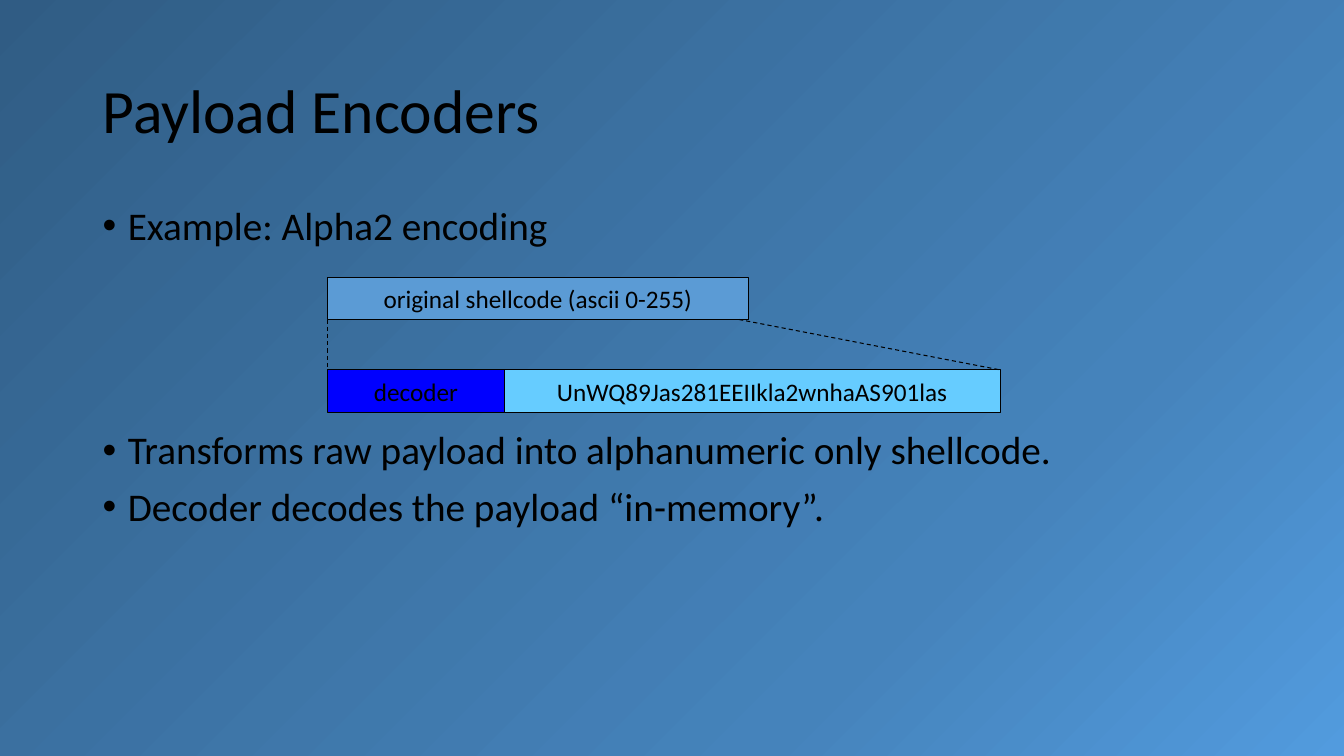
import pptx
import pptx.util
import pptx.oxml
import pptx.oxml.ns
import pptx.dml.color
import pptx.enum.dml
import pptx.enum.shapes
import pptx.enum.text
from lxml import etree

Inches = pptx.util.Inches
Pt = pptx.util.Pt
RGBColor = pptx.dml.color.RGBColor
qn = pptx.oxml.ns.qn
ANCHOR = pptx.enum.text.MSO_ANCHOR

FONT = "Calibri"
BLACK = RGBColor(0, 0, 0)
DECODER_BLUE = RGBColor(0x00, 0x00, 0xFF)
ENCODED_BLUE = RGBColor(0x66, 0xCC, 0xFF)
ORIGINAL_BLUE = RGBColor(0x5B, 0x9B, 0xD5)
STOPS = [
    (0, RGBColor(0x30, 0x5C, 0x84), 100),
    (72, RGBColor(0x45, 0x83, 0xBB), 58),
    (100, RGBColor(0x52, 0x9B, 0xDE), 100),
]

LEFT, SPLIT, RIGHT = 3.25, 5, 9.92
ORIGINAL_TOP, ENCODED_TOP, BAR_HEIGHT = 2.75, 3.67, 0.42
ORIGINAL_WIDTH = 4.17
DIAGRAM_GAP = 130


def set_background(slide):
    fill = slide.background.fill
    fill.solid()
    solid = slide._element.find(".//" + qn("a:solidFill"))
    grad = etree.Element(qn("a:gradFill"), rotWithShape="1")
    stops = etree.SubElement(grad, qn("a:gsLst"))
    for pos, color, alpha in STOPS:
        gs = etree.SubElement(stops, qn("a:gs"), pos=str(pos * 1000))
        clr = etree.SubElement(gs, qn("a:srgbClr"), val=str(color))
        if alpha < 100:
            etree.SubElement(clr, qn("a:alpha"), val=str(alpha * 1000))
    path = etree.SubElement(grad, qn("a:path"))
    path.set("path", "circle")
    etree.SubElement(path, qn("a:fillToRect"), r="100000", b="100000")
    solid.getparent().replace(solid, grad)


def style_paragraph(p, size):
    for r in p.runs:
        r.font.name = FONT
        r.font.size = Pt(size)
        r.font.color.rgb = BLACK


def add_text(slide, top, height, anchor):
    s = slide.shapes.add_textbox(Inches(0.92), Inches(top), Inches(11.5), Inches(height))
    tf = s.text_frame
    tf.word_wrap = True
    tf.vertical_anchor = anchor
    return tf


def add_title(slide, text):
    tf = add_text(slide, 0.4, 1.45, ANCHOR.MIDDLE)
    tf.text = text
    p = tf.paragraphs[0]
    p.line_spacing = 0.9
    style_paragraph(p, 44)


def add_bullets(slide, items):
    tf = add_text(slide, 2, 4.76, ANCHOR.TOP)
    tf.text = "\n".join(text for text, space in items)
    for p, (text, space) in zip(tf.paragraphs, items):
        p.line_spacing = 0.9
        p.space_before = Pt(space)
        pPr = p._p.get_or_add_pPr()
        pPr.set("marL", str(Inches(0.25)))
        pPr.set("indent", str(-Inches(0.25)))
        etree.SubElement(pPr, qn("a:buFont"), typeface="Arial")
        etree.SubElement(pPr, qn("a:buChar"), char="•")
        style_paragraph(p, 28)


def add_bar(slide, left, top, width, text, color):
    s = slide.shapes.add_shape(
        pptx.enum.shapes.MSO_SHAPE.RECTANGLE,
        Inches(left), Inches(top), Inches(width), Inches(BAR_HEIGHT))
    s.shadow.inherit = False
    s.fill.solid()
    s.fill.fore_color.rgb = color
    s.line.color.rgb = BLACK
    s.line.width = Pt(0.75)
    tf = s.text_frame
    tf.word_wrap = False
    tf.vertical_anchor = ANCHOR.MIDDLE
    tf.text = text
    p = tf.paragraphs[0]
    p.alignment = pptx.enum.text.PP_ALIGN.CENTER
    style_paragraph(p, 18)


def add_dashed_line(slide, x1, x2):
    s = slide.shapes.add_connector(
        pptx.enum.shapes.MSO_CONNECTOR.STRAIGHT,
        Inches(x1), Inches(ORIGINAL_TOP + BAR_HEIGHT), Inches(x2), Inches(ENCODED_TOP))
    s.line.color.rgb = BLACK
    s.line.width = Pt(0.75)
    s.line.dash_style = pptx.enum.dml.MSO_LINE.DASH
    etree.SubElement(s._element.spPr, qn("a:effectLst"))


def main():
    prs = pptx.Presentation()
    prs.slide_width = Inches(13.33)
    prs.slide_height = Inches(7.5)
    slide = prs.slides.add_slide(prs.slide_layouts[6])
    set_background(slide)
    add_title(slide, "Payload Encoders")
    add_bullets(slide, [
        ("Example: Alpha2 encoding", 0),
        ("Transforms raw payload into alphanumeric only shellcode.", DIAGRAM_GAP),
        ("Decoder decodes the payload “in-memory”.", 10),
    ])
    add_bar(slide, LEFT, ENCODED_TOP, SPLIT - LEFT, "decoder", DECODER_BLUE)
    add_bar(slide, SPLIT, ENCODED_TOP, RIGHT - SPLIT,
            "UnWQ89Jas281EEIIkla2wnhaAS901las", ENCODED_BLUE)
    add_bar(slide, LEFT, ORIGINAL_TOP, ORIGINAL_WIDTH,
            "original shellcode (ascii 0-255)", ORIGINAL_BLUE)
    add_dashed_line(slide, LEFT, LEFT)
    add_dashed_line(slide, 7.33, RIGHT)
    prs.save("out.pptx")


if __name__ == "__main__":
    main()
